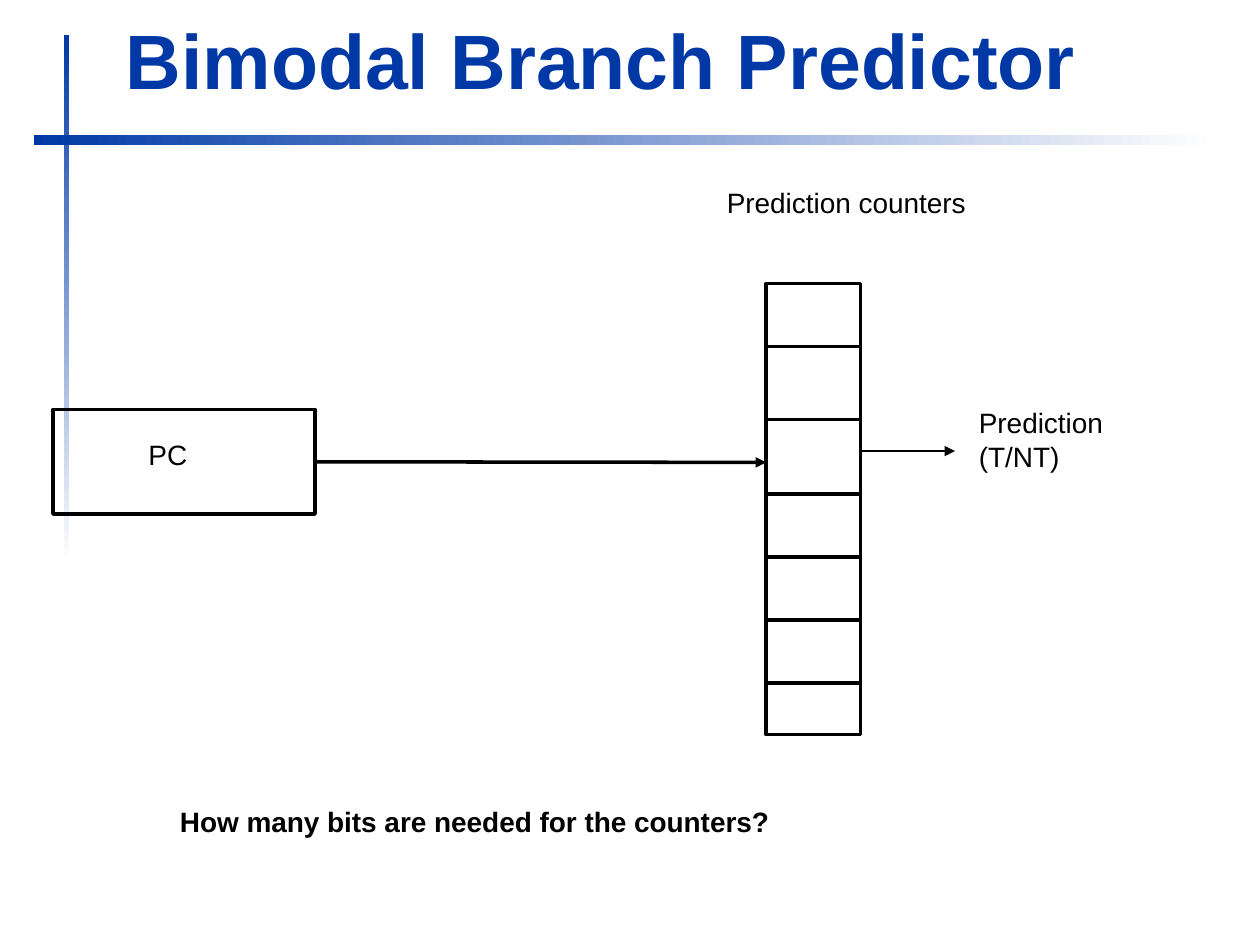
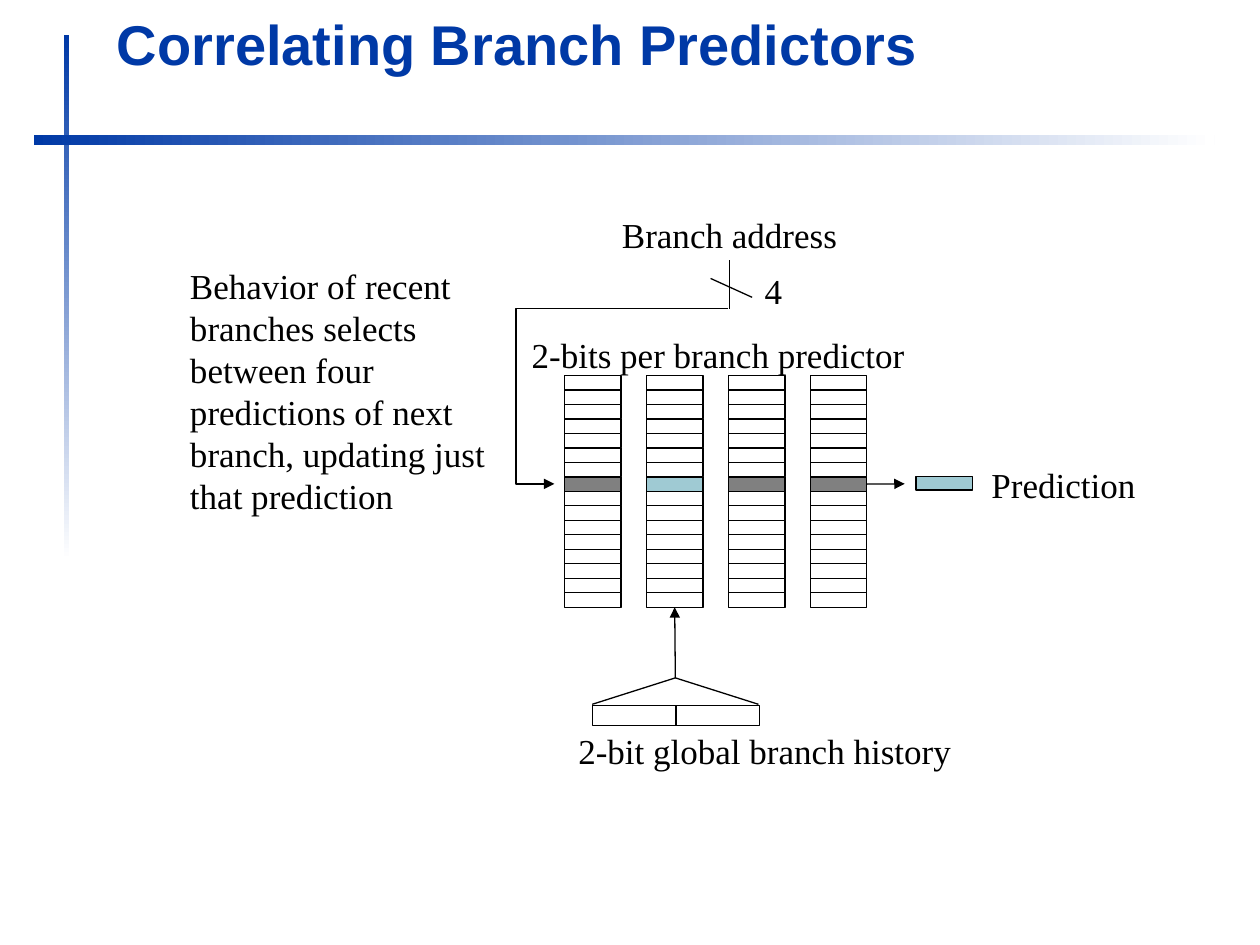
import lxml.etree
import pptx
import pptx.util
import pptx.dml.color
import pptx.enum.shapes
import pptx.enum.text
import pptx.oxml.ns

Inches = pptx.util.Inches
Pt = pptx.util.Pt
KIND = pptx.enum.shapes.MSO_CONNECTOR
RECT = pptx.enum.shapes.MSO_SHAPE.RECTANGLE
ANCHOR = pptx.enum.text.MSO_ANCHOR
ALIGN = pptx.enum.text.PP_ALIGN

COLORS = {
    "blue": "0039A6",
    "white": "FFFFFF",
    "black": "000000",
    "gray": "808080",
    "teal": "9FCAD3",
}
SANS, SERIF = "Arial", "Times New Roman"
THIN = 0.75


def rgb(name):
    return pptx.dml.color.RGBColor.from_string(COLORS[name])


def add_xml(parent, tag, **attrs):
    """Append an empty drawing element."""
    lxml.etree.SubElement(parent, pptx.oxml.ns.qn(tag), attrs)


def add_box(slide, left, top, width, height, weight=THIN, fill=None):
    """Outlined rectangle, hollow unless a fill is named."""
    box = slide.shapes.add_shape(
        RECT, Inches(left), Inches(top), Inches(width), Inches(height))
    box.shadow.inherit = False
    if fill:
        box.fill.solid()
        box.fill.fore_color.rgb = rgb(fill)
    else:
        box.fill.background()
    box.line.color.rgb = rgb("black")
    box.line.width = Pt(weight)
    return box


def add_bar(slide, left, top, width, height, angle):
    """Borderless bar that fades from blue to white."""
    bar = add_box(slide, left, top, width, height)
    bar.line.fill.background()
    bar.fill.gradient()
    bar.fill.gradient_angle = angle
    for stop, name in zip(bar.fill.gradient_stops, ("blue", "white")):
        stop.color.rgb = rgb(name)


def add_line(slide, start, end, weight=THIN, arrow=False, kind=KIND.STRAIGHT):
    line = slide.shapes.add_connector(
        kind, *(Inches(value) for value in (*start, *end)))
    line.line.color.rgb = rgb("black")
    line.line.width = Pt(weight)
    props = line._element.spPr
    if arrow:
        add_xml(props.find(pptx.oxml.ns.qn("a:ln")), "a:tailEnd",
                type="triangle")
    add_xml(props, "a:effectLst")
    return line


def add_text(slide, text, left, top, width, height, size, font=SANS,
             color="black", bold=False, anchor=ANCHOR.TOP, wrap=True):
    """Text box; text that does not wrap is centred."""
    box = slide.shapes.add_textbox(
        Inches(left), Inches(top), Inches(width), Inches(height))
    frame = box.text_frame
    frame.text = text
    frame.word_wrap = wrap
    frame.vertical_anchor = anchor
    para = frame.paragraphs[0]
    if not wrap:
        para.alignment = ALIGN.CENTER
    for run in para.runs:
        run.font.name = font
        run.font.size = Pt(size)
        run.font.bold = bold
        run.font.color.rgb = rgb(color)
    return para


def add_label(slide, text, left, top, width, height):
    """Centred one-line label in the serif font."""
    add_text(slide, text, left, top, width, height, 20, SERIF,
             anchor=ANCHOR.MIDDLE, wrap=False)


def start_slide(deck, title, place, size):
    """New slide with the two bars and the title."""
    slide = deck.slides.add_slide(deck.slide_layouts[6])
    add_bar(slide, 0.51, 0.28, 0.04, 4.17, 270)
    add_bar(slide, 0.27, 1.07, 9.37, 0.08, 0)
    add_text(slide, title, *place, size, color="blue", bold=True,
             anchor=ANCHOR.BOTTOM)
    return slide


def draw_bimodal(deck):
    slide = start_slide(deck, "Bimodal Branch Predictor",
                        (0.9, 0.05, 7.94, 0.83), 44)

    # Program counter
    counter = add_box(slide, 0.42, 3.25, 2.08, 0.83, 2)
    add_text(slide, "PC", 1.08, 3.42, 0.92, 0.37, 16)

    # Table of counters
    left, right = 6.08, 6.83
    add_box(slide, left, 2.25, right - left, 3.58, 2)
    for y in (2.75, 3.33, 3.92, 4.42, 4.92, 5.42):
        add_line(slide, (left, y), (right, y), 2)
    add_text(slide, "Prediction counters", 5.67, 1.42, 2.33, 0.37, 16)

    # Lookup and result
    lookup = add_line(slide, (2.5, 3.67), (left, 3.67), 2, arrow=True)
    lookup.begin_connect(counter, 3)
    add_line(slide, (right, 3.58), (7.58, 3.58), 1, arrow=True)
    add_text(slide, "Prediction\v(T/NT)", 7.67, 3.17, 1.75, 0.64, 16)

    # Question
    add_text(slide, "How many bits are needed for the counters?",
             1.33, 6.34, 6.67, 0.37, 16, bold=True)


def draw_tables(slide):
    """Four tables of 16 cells; returns the cells by column and row."""
    cols, rows, picked = 4, 16, 7
    left, top, step, width = 4.48, 2.98, 0.65, 0.45
    height = 1.84 / rows
    cells = {}
    for col in range(cols):
        for row in range(rows):
            fill = None
            if row == picked:
                fill = "teal" if col == 1 else "gray"
            cells[col, row] = add_box(
                slide, left + col * step, top + row * height,
                width, height, fill=fill)
    return cells


def draw_correlating(deck):
    slide = start_slide(deck, "Correlating Branch Predictors",
                        (0.83, -0.52, 7.55, 1.18), 32)

    # Explanation
    para = add_text(
        slide, "Behavior of recent branches selects between four predictions "
        "of next branch, updating just that prediction",
        1.41, 2.05, 2.7, 2.1, 20, SERIF)
    para.line_spacing = Pt(24)

    # Prediction tables
    add_label(slide, "2-bits per branch predictor", 3.95, 2.65, 3.5, 0.33)
    cells = draw_tables(slide)

    # Branch address
    add_label(slide, "Branch address", 4.64, 1.71, 2.3, 0.31)
    add_line(slide, (5.79, 2.45), (5.79, 2.06))
    add_line(slide, (5.64, 2.21), (5.97, 2.36))
    add_text(slide, "4", 5.97, 2.09, 0.37, 0.44, 20, SERIF)
    elbow = add_line(slide, (5.78, 2.45), (4.4, 3.84), arrow=True,
                     kind=KIND.ELBOW)
    guides = elbow._element.spPr.find(".//" + pptx.oxml.ns.qn("a:avLst"))
    add_xml(guides, "a:gd", name="adj1", fmla="val 122100")

    # Chosen prediction
    result = add_line(slide, (6.87, 3.84), (7.18, 3.84), arrow=True)
    result.begin_connect(cells[3, 7], 3)
    add_box(slide, 7.27, 3.78, 0.45, 0.11, fill="teal")
    add_text(slide, "Prediction", 7.77, 3.63, 1.48, 0.44, 20, SERIF)

    # Global history
    past = add_box(slide, 4.7, 5.6, 1.33, 0.16)
    split = add_line(slide, (5.36, 5.6), (5.36, 5.76))
    split.begin_connect(past, 0)
    split.end_connect(past, 2)
    for x in (4.7, 6.02):
        add_line(slide, (5.36, 5.38), (x, 5.59))
    choice = add_line(slide, (5.36, 5.38), (5.36, 4.82), arrow=True)
    choice.end_connect(cells[1, 15], 2)
    add_label(slide, "2-bit global branch history", 4.42, 5.78, 3.3, 0.35)


def main():
    deck = pptx.Presentation()
    deck.slide_width = Inches(10)
    deck.slide_height = Inches(7.5)
    draw_bimodal(deck)
    draw_correlating(deck)
    deck.save("out.pptx")


if __name__ == "__main__":
    main()
